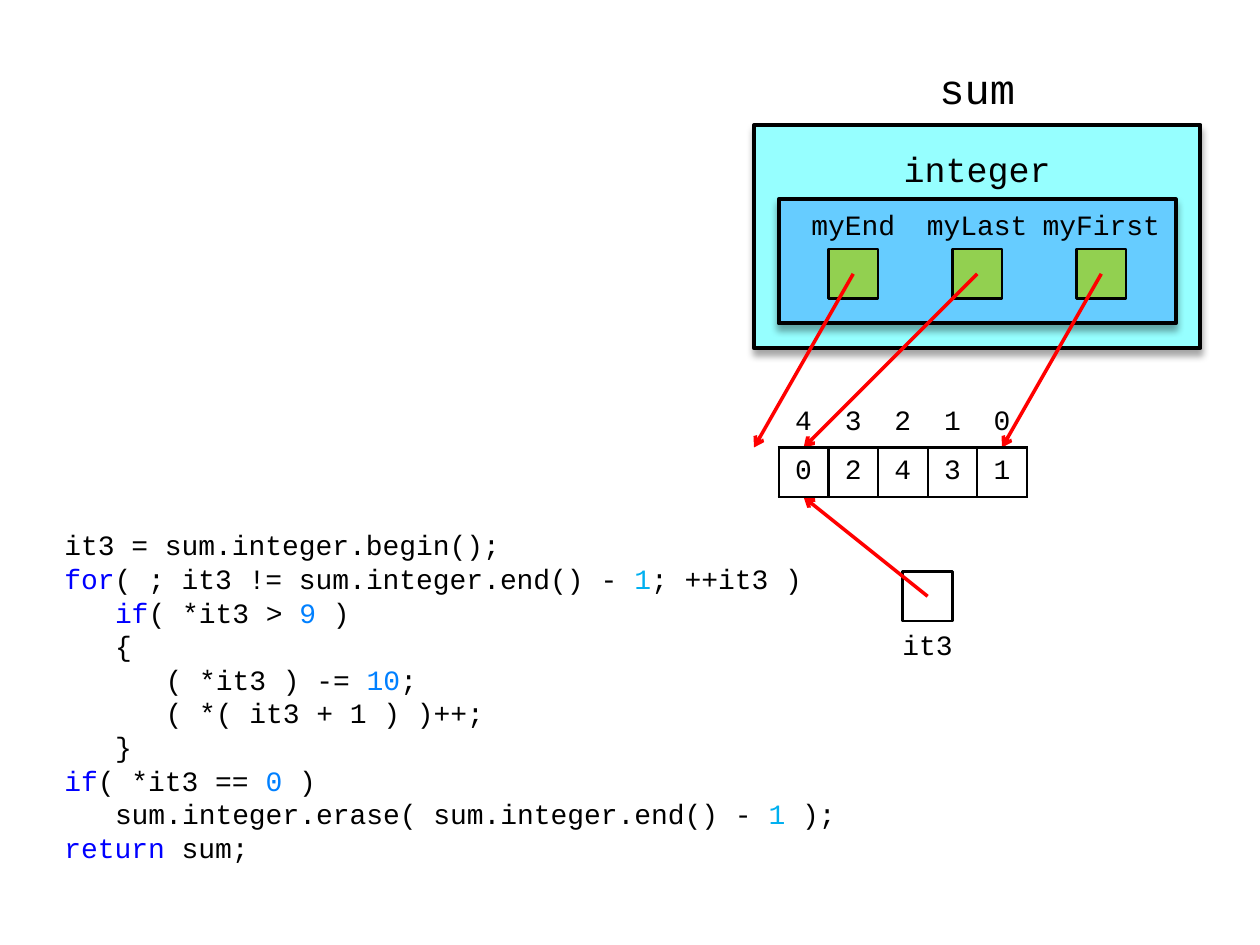
from dataclasses import dataclass

from lxml import etree
from pptx import Presentation, util as u
from pptx.dml.color import RGBColor
from pptx.enum import shapes, text
from pptx.oxml import parse_xml
from pptx.oxml.ns import nsdecls, qn


@dataclass(frozen=True)
class Theme:
    font: str = "Courier New"
    black: str = "000000"
    white: str = "FFFFFF"
    red: str = "FF0000"
    outer: str = "96FFFF"
    inner: str = "66CCFF"
    pointer: str = "92D050"
    keyword: str = "0000FF"
    number: str = "0080FF"
    offset: str = "00B0F0"
    title: int = 24
    subtitle: int = 20
    body: int = 16


theme = Theme()
PX = 7200
CELL = 50
INDENT = 51

presentation = Presentation()
presentation.slide_width = u.Inches(10)
presentation.slide_height = u.Inches(7.5)
slide = presentation.slides.add_slide(presentation.slide_layouts[6])


def add_box(kind, left, top, width, height, fill, line_width):
    shape = slide.shapes.add_shape(kind, left * PX, top * PX, width * PX, height * PX)
    shape.shadow.inherit = False
    shape.fill.solid()
    shape.fill.fore_color.rgb = RGBColor.from_string(fill)
    shape.line.color.rgb = RGBColor.from_string(theme.black)
    shape.line.width = u.Pt(line_width)
    return shape


def style_text(frame, size, color=theme.black, align=text.PP_ALIGN.CENTER):
    frame.word_wrap = True
    for paragraph in frame.paragraphs:
        paragraph.alignment = align
        for run in paragraph.runs:
            run.font.name = theme.font
            run.font.size = u.Pt(size)
            run.font.color.rgb = RGBColor.from_string(color)


code_lines = [
    (0, [("it3 = sum.integer.begin();", theme.black)]),
    (0, [("for", theme.keyword), ("( ; it3 != sum.integer.end() - ", theme.black),
         ("1", theme.offset), ("; ++it3 )", theme.black)]),
    (1, [("if", theme.keyword), ("( *it3 > ", theme.black),
         ("9", theme.number), (" )", theme.black)]),
    (1, [("{", theme.black)]),
    (2, [("( *it3 ) -= ", theme.black), ("10", theme.number), (";", theme.black)]),
    (2, [("( *( it3 + 1 ) )++;", theme.black)]),
    (1, [("}", theme.black)]),
    (0, [("if", theme.keyword), ("( *it3 == ", theme.black),
         ("0", theme.number), (" )", theme.black)]),
    (1, [("sum.integer.erase( sum.integer.end() - ", theme.black),
         ("1", theme.offset), (" );", theme.black)]),
    (0, [("return", theme.keyword), (" sum;", theme.black)]),
]
code = slide.shapes.add_textbox(60 * PX, 526 * PX, 800 * PX, 350 * PX).text_frame
code.margin_left = 5 * PX
code.text = "\n".join("" for _ in code_lines)
for paragraph, (depth, pieces) in zip(code.paragraphs, code_lines):
    paragraph.line_spacing = u.Pt(19.2)
    paragraph._p.get_or_add_pPr().set("marL", str(depth * INDENT * PX))
    for words, color in pieces:
        paragraph.add_run().text = words
style_text(code, theme.body, align=text.PP_ALIGN.LEFT)
for paragraph, (depth, pieces) in zip(code.paragraphs, code_lines):
    for run, (words, color) in zip(paragraph.runs, pieces):
        run.font.color.rgb = RGBColor.from_string(color)

process = shapes.MSO_SHAPE.FLOWCHART_PROCESS
for left, top, width, height, fill in [
    (760, 126, 450, 225, theme.outer),
    (785, 201, 400, 125, theme.inner),
]:
    container = add_box(process, left, top, width, height, fill, 2.25)
    effects = container._element.spPr.find(qn("a:effectLst"))
    effects.append(parse_xml(
        f'<a:outerShdw {nsdecls("a")} blurRad="{u.Pt(4)}" dist="{u.Pt(3)}" dir="5400000" '
        f'rotWithShape="0"><a:srgbClr val="{theme.black}"><a:alpha val="35000"/>'
        '</a:srgbClr></a:outerShdw>'))

square = shapes.MSO_SHAPE.RECTANGLE
for left in (835, 960, 1085):
    add_box(square, left, 251, CELL, CELL, theme.pointer, 1.5)
add_box(square, 910, 576, CELL, CELL, theme.white, 1.5)

middle, top_anchor = text.MSO_ANCHOR.MIDDLE, text.MSO_ANCHOR.TOP
for words, left, top, width, height, size, anchor in [
    ("sum", 910, 51, 150, 75, theme.title, middle),
    ("integer", 885, 132, 200, 75, theme.subtitle, middle),
    ("myEnd", 785, 201, 150, CELL, theme.body, middle),
    ("myLast", 910, 201, 150, CELL, theme.body, middle),
    ("myFirst", 1035, 201, 150, CELL, theme.body, middle),
    ("it3", 885, 626, 100, CELL, theme.body, top_anchor),
]:
    label = slide.shapes.add_textbox(left * PX, top * PX, width * PX, height * PX).text_frame
    label.text = words
    label.vertical_anchor = anchor
    style_text(label, size)

for start_x, start_y, end_x, end_y in [
    (1110, 276, 1010, 451),
    (985, 276, 810, 451),
    (860, 276, 760, 451),
    (935, 601, 810, 501),
]:
    arrow = slide.shapes.add_connector(
        shapes.MSO_CONNECTOR.STRAIGHT, start_x * PX, start_y * PX, end_x * PX, end_y * PX)
    arrow.line.color.rgb = RGBColor.from_string(theme.red)
    arrow.line.width = u.Pt(2)
    etree.SubElement(arrow.line._get_or_add_ln(), qn("a:tailEnd"), type="arrow")
    etree.SubElement(arrow._element.spPr, qn("a:effectLst"))

digits = ["43210", "02431"]
table = slide.shapes.add_table(
    2, 5, 785 * PX, 401 * PX, 5 * CELL * PX, 2 * CELL * PX).table
table.first_row = False
table.horz_banding = False
for column in table.columns:
    column.width = CELL * PX
for row_index, row in enumerate(table.rows):
    row.height = CELL * PX
    for cell, digit in zip(row.cells, digits[row_index]):
        cell.text = digit
        cell.vertical_anchor = middle
        cell.margin_left = cell.margin_right = 0
        style_text(cell.text_frame, theme.body)
        if row_index:
            cell.fill.solid()
            cell.fill.fore_color.rgb = RGBColor.from_string(theme.white)
        else:
            cell.fill.background()
        for position, side in enumerate(("lnL", "lnR", "lnT", "lnB")):
            visible = row_index or side == "lnB"
            paint = (f'<a:solidFill><a:srgbClr val="{theme.black}"/></a:solidFill>'
                     if visible else "<a:noFill/>")
            cell._tc.get_or_add_tcPr().insert(position, parse_xml(
                f'<a:{side} {nsdecls("a")} w="{u.Pt(1.5)}">{paint}</a:{side}>'))

presentation.save("out.pptx")
